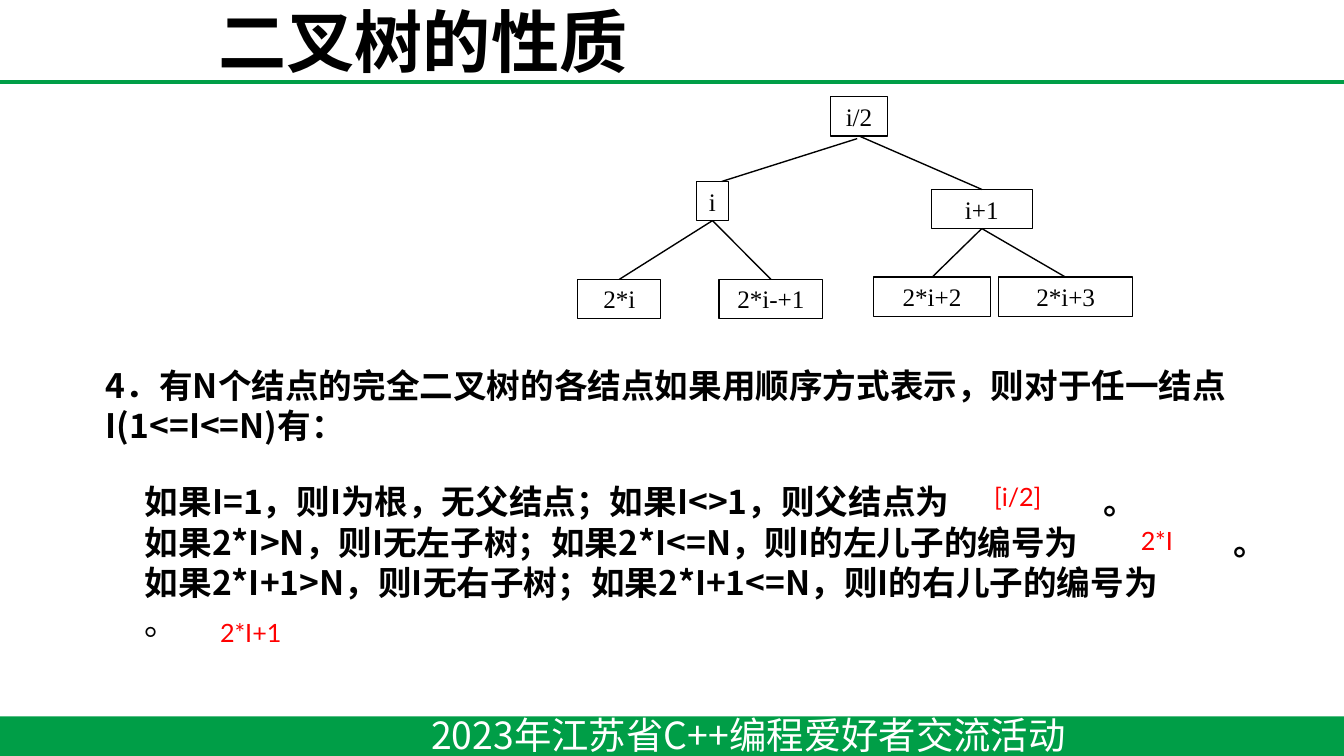
from lxml import etree
from pptx import Presentation
from pptx import util as u
from pptx.dml.color import RGBColor
from pptx.enum import shapes, text
from pptx.oxml import ns
from pptx.util import Cm

COLORS = {"green": "009E47", "white": "FFFFFF", "black": "000000", "red": "FF0000"}
CJK, SERIF, SANS = "Noto Sans CJK SC", "Times New Roman", "Lato"
NODE_H = 0.74


def rgb(name):
    return RGBColor.from_string(COLORS[name])


def child(parent, tag, **attrs):
    return etree.SubElement(parent, ns.qn(tag), **attrs)


def style(p, size, font, color="black", bold=False):
    """Format every run of a paragraph, East Asian characters included."""
    p.space_before = u.Pt(0)
    for r in p.runs:
        r.font.size, r.font.name, r.font.bold = u.Pt(size), font, bold
        r.font.color.rgb = rgb(color)
        child(r._r.get_or_add_rPr(), "a:ea", typeface=font)


def set_margins(tf, left, top, right, bottom):
    tf.margin_left, tf.margin_top = Cm(left), Cm(top)
    tf.margin_right, tf.margin_bottom = Cm(right), Cm(bottom)


def place(sp, x, y, w, h):
    sp.left, sp.top, sp.width, sp.height = Cm(x), Cm(y), Cm(w), Cm(h)


def add_line(parent, x1, y1, x2, y2, color="black", width=0.75):
    line = parent.add_connector(shapes.MSO_CONNECTOR.STRAIGHT,
                                Cm(x1), Cm(y1), Cm(x2), Cm(y2))
    line.line.color.rgb, line.line.width = rgb(color), u.Pt(width)
    child(line._element.spPr, "a:effectLst")
    return line


def add_label(s, x, y, w, h, words, size, font, color, wrap=False):
    tf = s.shapes.add_textbox(Cm(x), Cm(y), Cm(w), Cm(h)).text_frame
    tf.word_wrap = wrap
    tf.text = words
    style(tf.paragraphs[0], size, font, color)


def add_frame(s, width):
    """Rule under the title and footer band."""
    add_line(s.shapes, 0, 1.55, width, 1.55, "green", 1.75)
    band = s.shapes.add_shape(shapes.MSO_SHAPE.RECTANGLE,
                              Cm(0), Cm(13.54), Cm(width), Cm(0.79))
    band.shadow.inherit = False
    band.fill.solid()
    band.fill.fore_color.rgb = rgb("green")
    band.line.fill.background()
    add_label(s, 7.9, 13.34, 17.42, 1.12, "2023年江苏省C++编程爱好者交流活动",
              20, CJK, "white", wrap=True)


def fill_title(s, x, y, w, h):
    sp = s.shapes.title
    place(sp, x, y, w, h)
    tf = sp.text_frame
    tf.text = "二叉树的性质"
    tf.auto_size, tf.word_wrap = text.MSO_AUTO_SIZE.NONE, False
    tf.vertical_anchor = text.MSO_ANCHOR.BOTTOM
    tf.paragraphs[0].alignment = text.PP_ALIGN.CENTER
    style(tf.paragraphs[0], 36.5, CJK, bold=True)


def fill_statement(s, x, y, w, h):
    sp = s.placeholders[1]
    place(sp, x, y, w, h)
    tf = sp.text_frame
    tf.text = "4．有N个结点的完全二叉树的各结点如果用顺序方式表示，则对于任一结点I(1<=I<=N)有："
    tf.auto_size = text.MSO_AUTO_SIZE.NONE
    set_margins(tf, 0.1, 0.13, 0.1, 0.13)
    p = tf.paragraphs[0]
    pPr = p._p.get_or_add_pPr()
    pPr.set("marL", "0")
    pPr.set("indent", "0")
    style(p, 18, CJK, bold=True)
    child(pPr, "a:buNone")


def add_node(group, x, y, w, words):
    sp = group.add_shape(shapes.MSO_SHAPE.RECTANGLE, Cm(x), Cm(y), Cm(w), Cm(NODE_H))
    sp.shadow.inherit = False
    sp.fill.background()
    sp.line.color.rgb, sp.line.width = rgb("black"), u.Pt(0.75)
    tf = sp.text_frame
    tf.text = words
    set_margins(tf, 0.1, 0.08, 0.1, 0.08)
    tf.word_wrap = True
    tf.paragraphs[0].alignment = text.PP_ALIGN.CENTER
    style(tf.paragraphs[0], 13.5, SERIF)
    return sp


def add_tree(s, x, y):
    """Parent, siblings and their children, numbered in level order."""
    group = s.shapes.add_group_shape().shapes
    specs = [("i/2", 4.78, 0, 1.07), ("i", 2.24, 1.6, 0.61), ("i+1", 6.68, 1.75, 1.91),
             ("2*i", 0, 3.45, 1.57), ("2*i-+1", 2.67, 3.45, 1.96),
             ("2*i+2", 5.59, 3.41, 2.21), ("2*i+3", 7.95, 3.41, 2.54)]
    nodes = [add_node(group, x + dx, y + dy, w, words) for words, dx, dy, w in specs]
    add_line(group, x + 5.28, y + 0.79, x + 2.72, y + 1.6)
    for i in range(2, len(nodes)):
        line = add_line(group, x, y, x + 1, y + 1)
        line.begin_connect(nodes[(i - 1) // 2], 2)
        line.end_connect(nodes[i], 0)


def add_rules(s, x, y, w, h):
    """Three rules whose blanks are filled in with red answers."""
    tf = s.shapes.add_textbox(Cm(x), Cm(y), Cm(w), Cm(h)).text_frame
    tf.word_wrap = True
    set_margins(tf, 1.37, 0.13, 0.1, 0.13)
    rules = [("如果I=1，则I为根，无父结点；如果I<>1，则父结点为", 18.11),
             ("如果2*I>N，则I无左子树；如果2*I<=N，则I的左儿子的编号为", 20.57),
             ("如果2*I+1>N，则I无右子树；如果2*I+1<=N，则I的右儿子的编号为", None)]
    for i, (words, stop) in enumerate(rules):
        p = tf.add_paragraph() if i else tf.paragraphs[0]
        p.text = words + ("\t。" if stop else "\v。")
        style(p, 18, CJK, bold=True)
        if stop:
            tabs = child(p._p.get_or_add_pPr(), "a:tabLst")
            child(tabs, "a:tab", pos=str(Cm(stop)), algn="l")
        else:
            p.runs[-1].font.bold = False
    for words, dx, dy, width in [("[i/2]", 17.17, 0, 1.42), ("2*I", 19.94, 0.84, 1.19),
                                 ("2*I+1", 2.54, 2.57, 1.8)]:
        add_label(s, x + dx, y + dy, width, 0.84, words, 13.5, SANS, "red")


def main():
    prs = Presentation()
    prs.slide_width, prs.slide_height = Cm(25.4), Cm(14.29)
    s = prs.slides.add_slide(prs.slide_layouts[1])
    add_frame(s, 25.4)
    fill_title(s, 3.76, 0.58, 8.46, 1.09)
    fill_statement(s, 1.9, 6.76, 22.91, 1.9)
    add_tree(s, 10.92, 1.83)
    add_rules(s, 1.37, 8.97, 24.26, 4.45)
    prs.save("out.pptx")


if __name__ == "__main__":
    main()
